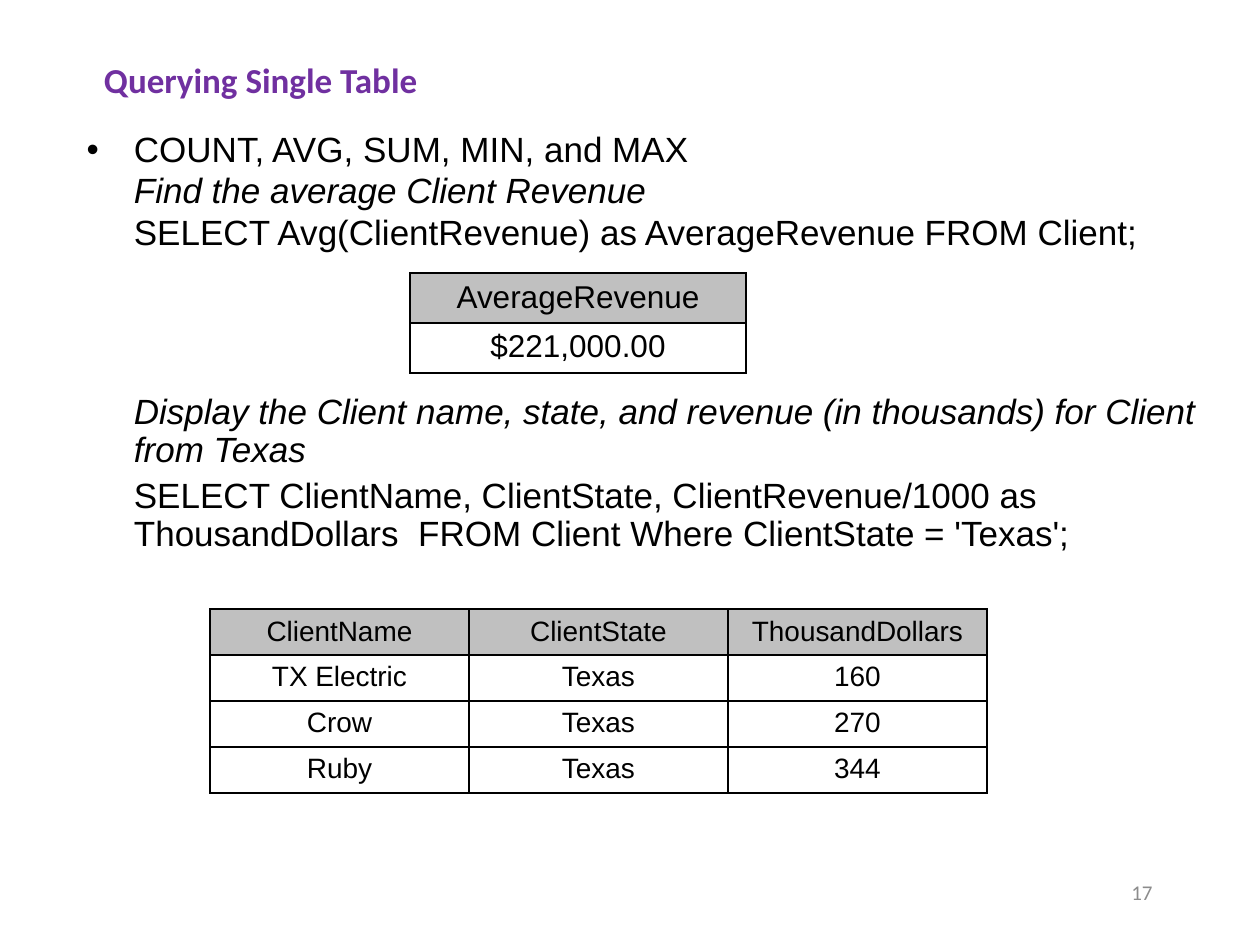
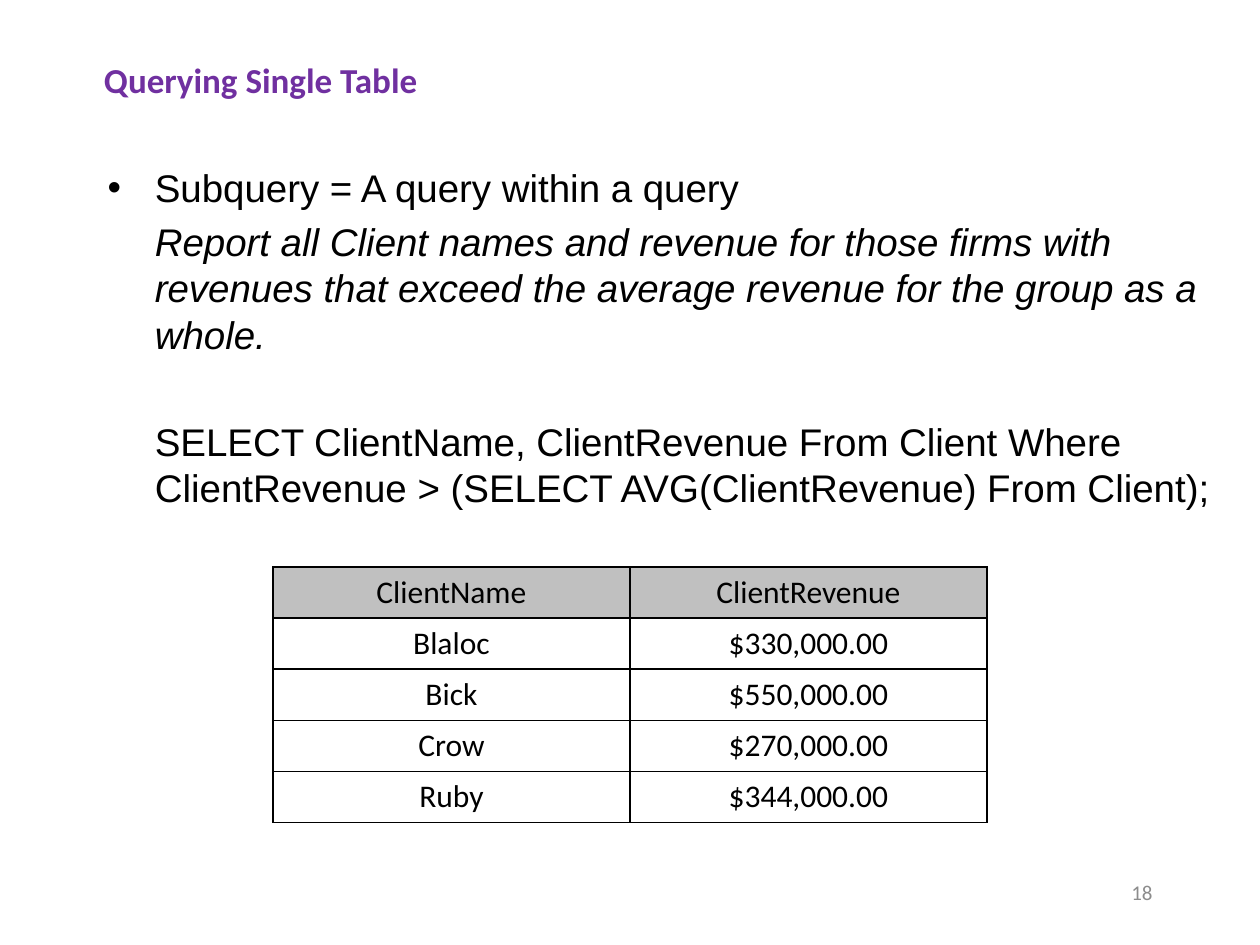
import pptx
import pptx.dml.color
import pptx.enum.text
import pptx.oxml
import pptx.oxml.ns
import pptx.util

EMU_PER_PX = 914400 / 126
PURPLE, BLACK, GREY, SILVER, WHITE = "7030A0", "000000", "8C8C8C", "C0C0C0", "FFFFFF"
ALIGN = pptx.enum.text.PP_ALIGN
ANCHOR = pptx.enum.text.MSO_ANCHOR
BORDER = (
    '<a:{side} %s w="12700"><a:solidFill><a:srgbClr val="{colour}"/></a:solidFill></a:{side}>'
    % pptx.oxml.ns.nsdecls("a")
)


def px(*lengths):
    """Turn pixel lengths into a list of EMU values."""
    return [pptx.util.Emu(round(length * EMU_PER_PX)) for length in lengths]


def add_run(paragraph, text, font, size, colour, bold=False, italic=False):
    run = paragraph.add_run()
    run.text = text
    run.font.name, run.font.size = font, pptx.util.Pt(size)
    run.font.bold, run.font.italic = bold, italic
    run.font.color.rgb = pptx.dml.color.RGBColor.from_string(colour)


# Statements: (text, italic, space before in points); the first one is bulleted.
# Results: (left, top, column width, row height, font, size, rows).
lessons = [
    dict(
        number="17",
        body_box=(74, 126, 1175, 756),
        size=20,
        line_spacing=0.9,
        statements=[
            ("COUNT, AVG, SUM, MIN, and MAX", False, 2),
            ("Find the average Client Revenue", True, 2),
            ("SELECT Avg(ClientRevenue) as AverageRevenue FROM Client;", False, 2),
            ("Display the Client name, state, and revenue (in thousands) "
             "for Client from Texas", True, 81),
            ("SELECT ClientName, ClientState, ClientRevenue/1000 as ThousandDollars  "
             "FROM Client Where ClientState = 'Texas';", False, 4.6),
        ],
        results=[
            (410, 273, 336, 50, "Arial", 18, [["AverageRevenue"], ["$221,000.00"]]),
            (210, 609, 259, 46, "Arial", 16, [
                ["ClientName", "ClientState", "ThousandDollars"],
                ["TX Electric", "Texas", "160"],
                ["Crow", "Texas", "270"],
                ["Ruby", "Texas", "344"],
            ]),
        ],
    ),
    dict(
        number="18",
        body_box=(95, 158, 1134, 703),
        size=22,
        line_spacing=1.0,
        statements=[
            ("Subquery = A query within a query", False, 4.4),
            ("Report all Client names and revenue for those firms with revenues "
             "that exceed the average revenue for the group as a whole.", True, 4.4),
            ("SELECT ClientName, ClientRevenue From Client Where ClientRevenue > "
             "(SELECT AVG(ClientRevenue) From Client);", False, 35),
        ],
        results=[
            (273, 567, 357, 51, "Calibri", 18, [
                ["ClientName", "ClientRevenue"],
                ["Blaloc", "$330,000.00"],
                ["Bick", "$550,000.00"],
                ["Crow", "$270,000.00"],
                ["Ruby", "$344,000.00"],
            ]),
        ],
    ),
]

deck = pptx.Presentation()
deck.slide_width, deck.slide_height = px(1260, 945)

for lesson in lessons:
    slide = deck.slides.add_slide(deck.slide_layouts[1])

    # Title
    heading = slide.shapes.title
    heading.left, heading.top, heading.width, heading.height = px(84, 0, 1095, 158)
    heading.text_frame.auto_size = pptx.enum.text.MSO_AUTO_SIZE.NONE
    heading.text_frame.vertical_anchor = ANCHOR.MIDDLE
    heading.text_frame.margin_left = px(20)[0]
    heading_line = heading.text_frame.paragraphs[0]
    heading_line.alignment = ALIGN.LEFT
    add_run(heading_line, "Querying Single Table", "Calibri", 20, PURPLE, bold=True)

    # Statements
    body = slide.placeholders[1]
    body.left, body.top, body.width, body.height = px(*lesson["body_box"])
    body.text_frame.auto_size = pptx.enum.text.MSO_AUTO_SIZE.NONE
    for index, (text, italic, space_before) in enumerate(lesson["statements"]):
        statement = body.text_frame.paragraphs[0] if index == 0 else body.text_frame.add_paragraph()
        statement.line_spacing = lesson["line_spacing"]
        statement.space_before = pptx.util.Pt(space_before)
        if index > 0:
            properties = statement._p.get_or_add_pPr()
            properties.set("indent", "0")
            properties.append(pptx.oxml.parse_xml("<a:buNone %s/>" % pptx.oxml.ns.nsdecls("a")))
        add_run(statement, text, "Arial", lesson["size"], BLACK, italic=italic)

    # Query results
    for left, top, column_width, row_height, font, size, rows in lesson["results"]:
        box = px(left, top, column_width * len(rows[0]), row_height * len(rows))
        result = slide.shapes.add_table(len(rows), len(rows[0]), *box).table
        result.first_row = result.horz_banding = False
        for column in result.columns:
            column.width = px(column_width)[0]
        for row_index, values in enumerate(rows):
            result.rows[row_index].height = px(row_height)[0]
            for column_index, value in enumerate(values):
                cell = result.cell(row_index, column_index)
                cell.vertical_anchor = ANCHOR.TOP if row_index else ANCHOR.MIDDLE
                cell.fill.solid()
                cell.fill.fore_color.rgb = pptx.dml.color.RGBColor.from_string(
                    WHITE if row_index else SILVER)
                for position, side in enumerate(("lnL", "lnR", "lnT", "lnB")):
                    border = pptx.oxml.parse_xml(BORDER.format(side=side, colour=BLACK))
                    cell._tc.get_or_add_tcPr().insert(position, border)
                entry = cell.text_frame.paragraphs[0]
                entry.alignment = ALIGN.CENTER
                add_run(entry, value, font, size, BLACK)

    # Slide number
    footer = slide.shapes.add_textbox(*px(903, 861, 262, 63)).text_frame
    footer.word_wrap = True
    footer.vertical_anchor = ANCHOR.MIDDLE
    footer.paragraphs[0].alignment = ALIGN.RIGHT
    add_run(footer.paragraphs[0], lesson["number"], "Calibri", 12, GREY)

deck.save("out.pptx")
